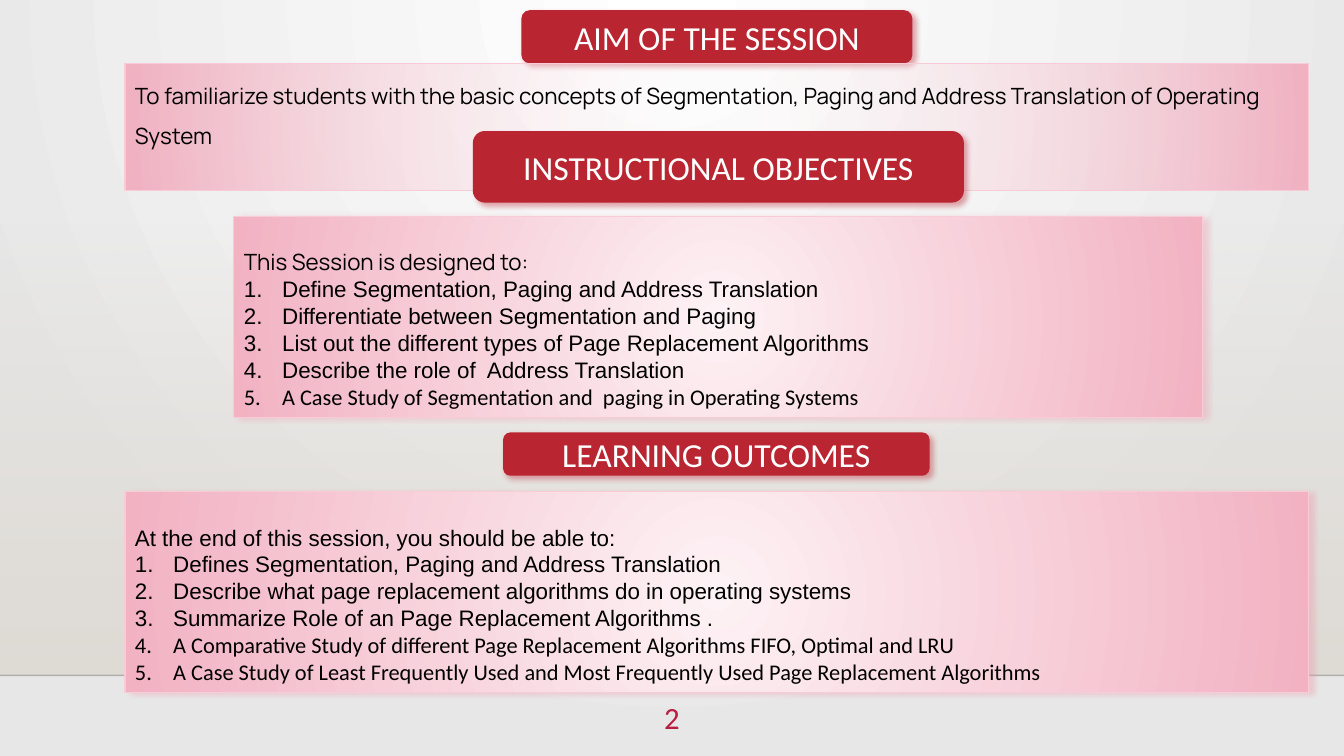
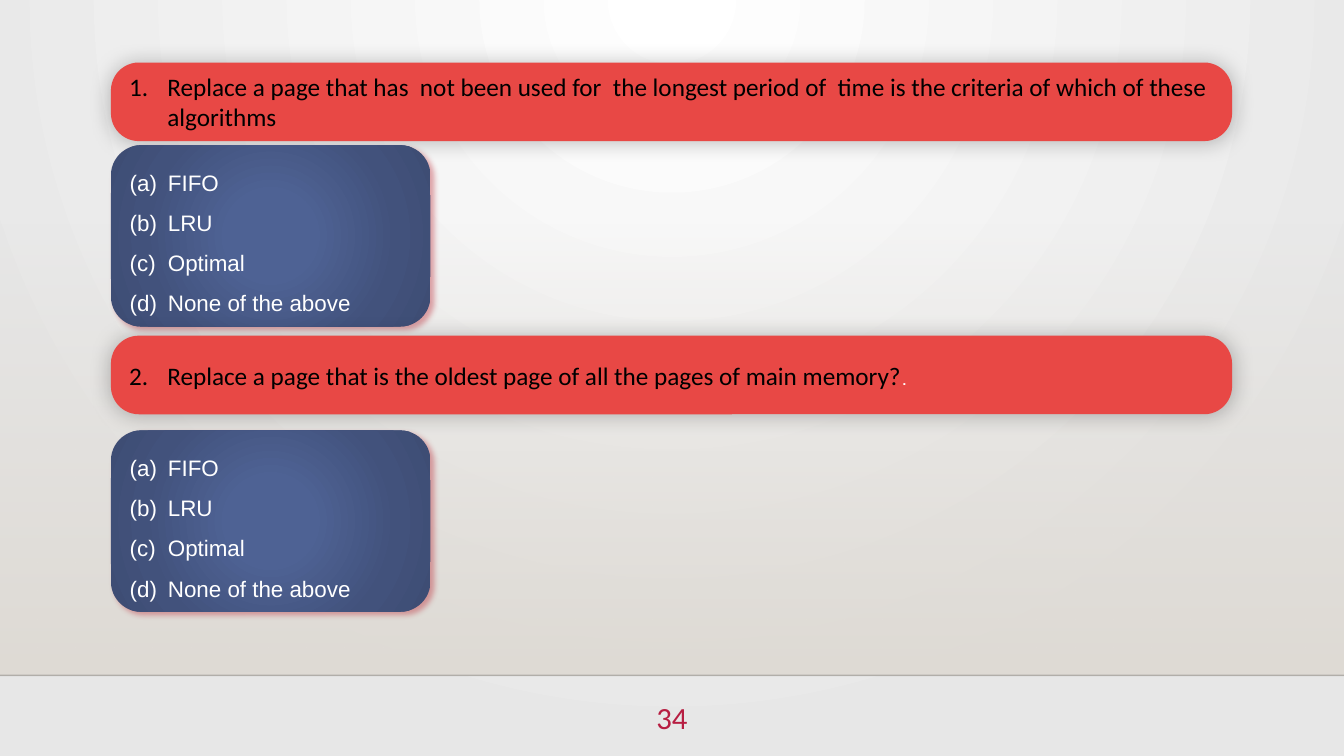
from lxml import etree
from pptx import Presentation
from pptx.dml.color import RGBColor
from pptx.enum.shapes import MSO_CONNECTOR, MSO_SHAPE
from pptx.enum.text import MSO_ANCHOR, MSO_AUTO_SIZE, PP_ALIGN
from pptx.oxml.ns import qn
from pptx.util import Inches, Pt

RECT, ROUNDED = MSO_SHAPE.RECTANGLE, MSO_SHAPE.ROUNDED_RECTANGLE
TOP, MIDDLE = MSO_ANCHOR.TOP, MSO_ANCHOR.MIDDLE
LEFT, CENTER = PP_ALIGN.LEFT, PP_ALIGN.CENTER
GROW = MSO_AUTO_SIZE.SHAPE_TO_FIT_TEXT
color = RGBColor.from_string

WIDTH, HEIGHT = 13.33, 7.5
FLOOR_TOP = 6.7
HANGING = 0.38
CRIMSON, CORAL, ACCENT = "BA2532", "E84845", "B71E42"
WHITE, BLACK, BEIGE = "FFFFFF", "000000", "DFDBD5"
CENTRED = (50, 50, 50, 50)

# Gradient stops: position in percent, colour, opacity in percent
BACKDROP = [(0, WHITE, 100), (100, "E7E7E7", 100)]
WASH = [(0, BEIGE, 0), (100, BEIGE, 100)]
PINK = [(0, "FDF2F5", 100), (100, "F2B2C2", 100)]
CLEAR_PINK = [(0, "FDF2F5", 0), (100, "F2B2C2", 100)]
NAVY = [(0, "4E6294", 100), (23, "4E6294", 100), (69, "42527C", 100), (97, "3E4D74", 100)]

# Shadows: colour, opacity in percent, blur and distance in points, angle
RED_SHADOW = (CRIMSON, 40, 4, 3, 45)
PINK_SHADOW = ("EE99AD", 40, 4, 3, 0)
SOFT_SHADOW = (BLACK, 25, 15, 0, 0)

WASH_STYLE = {"shape": RECT, "stops": WASH, "focus": None}
HEADING = {"shape": ROUNDED, "fill": CRIMSON, "shadow": RED_SHADOW,
           "align": CENTER, "size": 24, "text": WHITE}
PANEL = {"shape": RECT, "stops": PINK, "line": "F7CCD6", "shadow": PINK_SHADOW,
         "anchor": TOP, "grow": True, "size": 16, "text": BLACK}
AIM_PANEL = {**PANEL, "stops": CLEAR_PINK, "shadow": None}
QUESTION = {"shape": ROUNDED, "fill": CORAL, "shadow": SOFT_SHADOW, "corner": 0.356,
            "size": 18, "text": BLACK}
ANSWERS = {"shape": ROUNDED, "stops": NAVY, "shadow": RED_SHADOW,
           "size": 16, "text": WHITE}


def set_gradient(properties, stops, focus):
    """Swap the solid fill for a circular gradient, or a vertical one without focus."""
    gradient = etree.Element(qn("a:gradFill"), rotWithShape="1")
    stop_list = etree.SubElement(gradient, qn("a:gsLst"))
    for position, hue, opacity in stops:
        stop = etree.SubElement(stop_list, qn("a:gs"), pos=str(position * 1000))
        tone = etree.SubElement(stop, qn("a:srgbClr"), val=hue)
        if opacity < 100:
            etree.SubElement(tone, qn("a:alpha"), val=str(opacity * 1000))
    if focus:
        circle = etree.SubElement(gradient, qn("a:path"), path="circle")
        edges = {side: str(part * 1000) for side, part in zip("ltrb", focus)}
        etree.SubElement(circle, qn("a:fillToRect"), edges)
    else:
        etree.SubElement(gradient, qn("a:lin"), ang="5400000", scaled="0")
    properties.replace(properties.find(qn("a:solidFill")), gradient)


def add_box(slide, at, style, paragraphs=()):
    """Add a styled shape; paragraphs are (text, font, line spacing, numbering or None)."""
    box = slide.shapes.add_shape(style["shape"], *map(Inches, at))
    box.fill.solid()
    box.fill.fore_color.rgb = color(style.get("fill", WHITE))
    if "stops" in style:
        set_gradient(box.element.spPr, style["stops"], style.get("focus", CENTRED))
    if "corner" in style:
        box.adjustments[0] = style["corner"]
    if "line" in style:
        box.line.color.rgb = color(style["line"])
        box.line.width = Pt(0.75)
    else:
        box.line.fill.background()
    box.shadow.inherit = False
    if style.get("shadow"):
        hue, opacity, blur, distance, angle = style["shadow"]
        shadow = etree.SubElement(
            box.element.spPr.find(qn("a:effectLst")), qn("a:outerShdw"),
            blurRad=str(Pt(blur)), dist=str(Pt(distance)), dir=str(angle * 60000),
            algn="ctr", rotWithShape="0")
        tone = etree.SubElement(shadow, qn("a:srgbClr"), val=hue)
        etree.SubElement(tone, qn("a:alpha"), val=str(opacity * 1000))

    frame = box.text_frame
    frame.word_wrap = True
    frame.vertical_anchor = style.get("anchor", MIDDLE)
    if style.get("grow"):
        frame.auto_size = GROW
    for index, (text, face, spacing, numbering) in enumerate(paragraphs):
        paragraph = frame.add_paragraph() if index else frame.paragraphs[0]
        if numbering:
            properties = paragraph._p.get_or_add_pPr()
            properties.set("marL", str(Inches(HANGING)))
            properties.set("indent", str(-Inches(HANGING)))
            etree.SubElement(properties, qn("a:buAutoNum"), numbering)
        paragraph.alignment = style.get("align", LEFT)
        paragraph.line_spacing = spacing
        run = paragraph.add_run()
        run.text = text
        run.font.color.rgb = color(style["text"])
        for name, value in {"name": face, "size": Pt(style["size"])}.items():
            setattr(run.font, name, value)
    return box


deck = Presentation()
deck.slide_width, deck.slide_height = Inches(WIDTH), Inches(HEIGHT)
blank = deck.slide_layouts[6]
session, quiz = [deck.slides.add_slide(blank) for _ in range(2)]

# Shared backdrop, kept on the master
master = deck.slide_master
master.background.fill.solid()
set_gradient(master.element.cSld.find(qn("p:bg")).find(qn("p:bgPr")),
             BACKDROP, (43, 0, 43, 100))
wash = add_box(session, (0, 2.21, WIDTH, FLOOR_TOP - 2.21), WASH_STYLE)
floor_line = session.shapes.add_connector(
    MSO_CONNECTOR.STRAIGHT, 0, Inches(FLOOR_TOP), Inches(WIDTH), Inches(FLOOR_TOP))
floor_line.line.color.rgb = color("000001")
floor_line.line.width = Pt(1)
etree.SubElement(floor_line.element.spPr.find(".//" + qn("a:srgbClr")),
                 qn("a:alpha"), val="20000")
etree.SubElement(floor_line.element.spPr, qn("a:effectLst"))
for offset, part in enumerate((wash, floor_line)):
    part.element.xpath("./*/p:cNvPr")[0].set("id", str(100 + offset))
    master.shapes.element.insert(2 + offset, part.element)

# Page numbers
for slide, number in ((session, "2"), (quiz, "34")):
    number_box = slide.shapes.add_textbox(
        Inches(6.22), Inches(6.88), Inches(0.89), Inches(0.55))
    number_box.text_frame.word_wrap = True
    paragraph = number_box.text_frame.paragraphs[0]
    paragraph.text = number
    paragraph.alignment = CENTER
    paragraph.font.color.rgb = color(ACCENT)
    for name, value in {"name": "Calibri", "size": Pt(22)}.items():
        setattr(paragraph.font, name, value)

# Aim, objectives and outcomes
sections = [
    ("AIM OF THE SESSION", (5.17, 0.1, 3.88, 0.53), AIM_PANEL, (1.24, 0.63, 11.74, 1.26),
     ("To familiarize students with the basic concepts of Segmentation, Paging and "
      "Address Translation of Operating System", "Manrope", 1.5), []),
    ("INSTRUCTIONAL OBJECTIVES", (4.69, 1.3, 4.87, 0.71), PANEL, (2.32, 2.15, 9.61, 1.99),
     ("This Session is designed to:", "Manrope", 2.0),
     [("Define Segmentation, Paging and Address Translation", "Arial"),
      ("Differentiate between Segmentation and Paging", "Arial"),
      ("List out the different types of Page Replacement Algorithms", "Arial"),
      ("Describe the role of  Address Translation", "Arial"),
      ("A Case Study of Segmentation and  paging in Operating Systems", "Calibri")]),
    ("LEARNING OUTCOMES", (4.99, 4.29, 4.23, 0.43), PANEL, (1.24, 4.88, 11.74, 1.99),
     ("At the end of this session, you should be able to:", "Arial", 2.0),
     [("Defines Segmentation, Paging and Address Translation", "Arial"),
      ("Describe what page replacement algorithms do in operating systems", "Arial"),
      ("Summarize Role of an Page Replacement Algorithms .", "Arial"),
      ("A Comparative Study of different Page Replacement Algorithms FIFO, Optimal and LRU",
       "Calibri"),
      ("A Case Study of Least Frequently Used and Most Frequently Used Page Replacement "
       "Algorithms", "Calibri")]),
]
for heading, heading_at, panel_style, panel_at, lead, points in sections:
    add_box(session, heading_at, HEADING, [(heading, "Calibri", 1.0, None)])
    numbered = [(text, face, 1.0, {"type": "arabicPeriod"}) for text, face in points]
    add_box(session, panel_at, panel_style, [(*lead, None), *numbered])

# Quiz questions
choices = [(choice, "Arial", 1.5, {"type": "alphaLcParenBoth"})
           for choice in ("FIFO", "LRU", "Optimal", "None of the above")]
questions = [
    ("Replace a page that has  not been used for  the longest period of  time is the "
     "criteria of which of these algorithms", 0.62, 1.44),
    ("Replace a page that is the oldest page of all the pages of main memory?", 3.33, 4.27),
]
for number, (question, question_top, answers_top) in enumerate(questions, 1):
    numbering = {"type": "arabicPeriod", "startAt": str(number)}
    question_box = add_box(quiz, (1.1, question_top, 11.12, 0.78), QUESTION,
                           [(question, "Calibri", 1.0, numbering)])
    add_box(quiz, (1.1, answers_top, 3.17, 1.8), ANSWERS, choices)

full_stop = question_box.text_frame.paragraphs[0].add_run()
full_stop.text = "."
full_stop.font.color.rgb = color(WHITE)
for name, value in {"name": "Manrope", "size": Pt(16)}.items():
    setattr(full_stop.font, name, value)

deck.save("out.pptx")
